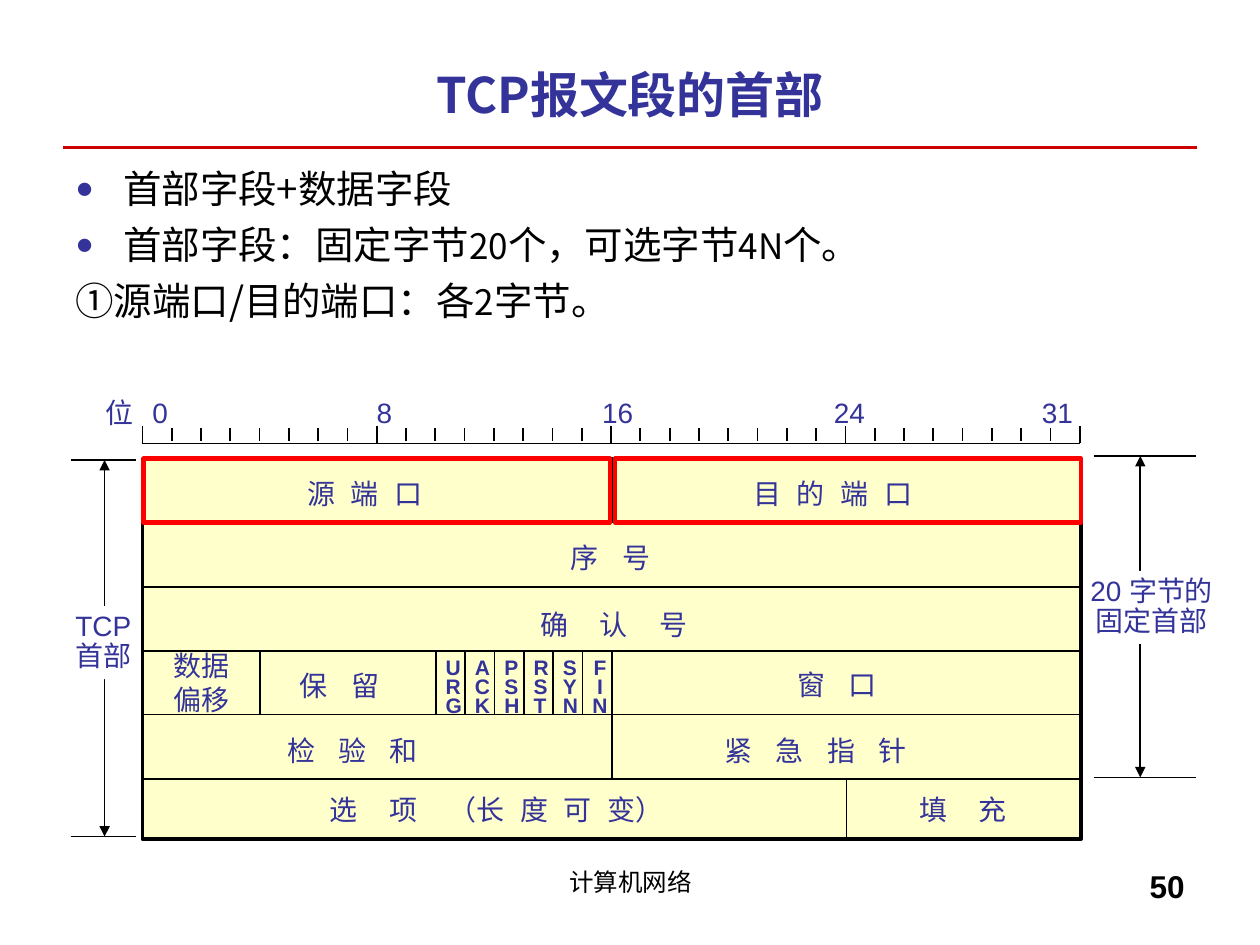
from dataclasses import dataclass

from lxml import etree
from pptx import Presentation
from pptx.dml.color import RGBColor
from pptx.enum import shapes, text
from pptx.oxml import ns
from pptx.util import Inches, Pt


@dataclass(frozen=True)
class Theme:
    ink: str = "000000"
    navy: str = "333399"
    rule: str = "CC0000"
    highlight: str = "FF0000"
    cell: str = "FFFFCC"
    paper: str = "FFFFFF"
    latin: str = "Arial"
    cjk: str = "Noto Sans CJK SC"
    title: int = 28
    body: int = 22
    digits: int = 20
    number: int = 18
    label: int = 16
    footer: int = 14
    flag: int = 12


THEME = Theme()
LEFT, CENTER, RIGHT = text.PP_ALIGN.LEFT, text.PP_ALIGN.CENTER, text.PP_ALIGN.RIGHT

BITS = 32
HEADER_LEFT, HEADER_TOP, HEADER_WIDTH, HEADER_HEIGHT = 1.13, 3.64, 7.45, 3.02
HEADER_RIGHT = HEADER_LEFT + HEADER_WIDTH
HEADER_BOTTOM = HEADER_TOP + HEADER_HEIGHT
FIXED_ROWS, FIXED_BOTTOM = 5, 6.18
ROW_HEIGHT = (FIXED_BOTTOM - HEADER_TOP) / FIXED_ROWS
FLAGS = ("URG", "ACK", "PSH", "RST", "SYN", "FIN")
FIRST_FLAG_BIT = 10

# Gaps between characters, in points
CLOSE, MEDIUM, WIDE = 9, 13.5, 18


def bit_x(bit):
    return HEADER_LEFT + HEADER_WIDTH * bit / BITS


def row_y(row):
    return HEADER_TOP + ROW_HEIGHT * row


def sub(parent, tag, **attributes):
    return etree.SubElement(parent, ns.qn(tag), attributes)


def write(frame, lines, *, size=THEME.label, color=THEME.navy, latin=THEME.latin,
          bold=False, align=LEFT, line_spacing=1.0, space_before=0, gap=0):
    """Each line is a string or a list of runs; a run is a string or (string, size, gap)."""
    for index, line in enumerate(lines):
        paragraph = frame.paragraphs[0] if index == 0 else frame.add_paragraph()
        paragraph.alignment = align
        paragraph.line_spacing = line_spacing
        paragraph.space_before = Pt(space_before if index else 0)
        for part in [line] if isinstance(line, str) else line:
            words, run_size, run_gap = (part, size, gap) if isinstance(part, str) else part
            run = paragraph.add_run()
            run.text = words
            run.font.size = Pt(run_size)
            run.font.bold = bold
            run.font.name = latin
            run.font.color.rgb = RGBColor.from_string(color)
            properties = run.font._element
            sub(properties, "a:ea", typeface=THEME.cjk)
            if run_gap:
                properties.set("spc", str(int(run_gap * 100)))


def set_margins(frame, align):
    side = Inches(0.1)
    frame.word_wrap = True
    frame.margin_left = side if align == LEFT else 0
    frame.margin_right = side if align == RIGHT else 0


def add_label(slide, box, lines, *, align=LEFT, **style):
    frame = slide.shapes.add_textbox(*map(Inches, box)).text_frame
    set_margins(frame, align)
    write(frame, lines, align=align, **style)
    return frame


def add_box(slide, box, *, fill=None, line=None, width=1):
    rect = slide.shapes.add_shape(shapes.MSO_SHAPE.RECTANGLE, *map(Inches, box))
    rect.shadow.inherit = False
    if fill:
        rect.fill.solid()
        rect.fill.fore_color.rgb = RGBColor.from_string(fill)
    else:
        rect.fill.background()
    if line:
        rect.line.color.rgb = RGBColor.from_string(line)
        rect.line.width = Pt(width)
    else:
        rect.line.fill.background()
    return rect


def add_line(slide, x1, y1, x2, y2, *, color=THEME.ink, width=1, arrows=False):
    line = slide.shapes.add_connector(
        shapes.MSO_CONNECTOR.STRAIGHT, *map(Inches, (x1, y1, x2, y2)))
    line.line.color.rgb = RGBColor.from_string(color)
    line.line.width = Pt(width)
    if arrows:
        outline = line.line._get_or_add_ln()
        sub(outline, "a:headEnd", type="triangle")
        sub(outline, "a:tailEnd", type="triangle")
    sub(line._element.spPr, "a:effectLst")


def add_title(slide):
    title = slide.shapes.title
    title.left, title.top, title.width, title.height = map(Inches, (0.5, 0.33, 9, 0.83))
    title.text_frame.vertical_anchor = text.MSO_ANCHOR.MIDDLE
    write(title.text_frame, ["TCP报文段的首部"], size=THEME.title, latin=THEME.cjk,
          bold=True, align=CENTER)
    add_line(slide, 0.5, 1.17, 9.5, 1.17, color=THEME.rule, width=2)


def add_points(slide):
    def digits(words):
        return words, THEME.digits, 0

    frame = add_label(slide, (0.5, 1.26, 9, 1.65), [
        "首部字段+数据字段",
        ["首部字段：固定字节", digits("20"), "个，可选字节", digits("4N"), "个。"],
        ["①源端口/目的端口：各", digits("2"), "字节。"],
    ], size=THEME.body, color=THEME.ink, latin=THEME.cjk, space_before=5.5)
    hanging = Inches(0.38)
    for index, paragraph in enumerate(frame.paragraphs):
        properties = paragraph._p.get_or_add_pPr()
        properties.set("marL", str(hanging))
        properties.set("indent", str(-hanging))
        if index < 2:
            sub(sub(properties, "a:buClr"), "a:srgbClr", val=THEME.navy)
            sub(properties, "a:buSzPct", val="80000")
            sub(properties, "a:buFont", typeface=THEME.latin)
            sub(properties, "a:buChar", char="●")


def add_bit_ruler(slide):
    baseline, ruler_width = 3.52, 7.44
    add_line(slide, HEADER_LEFT, baseline, HEADER_LEFT + ruler_width, baseline)
    for bit in range(BITS + 1):
        x = HEADER_LEFT + ruler_width * bit / BITS
        top, bottom = (3.38, baseline) if bit % 8 == 0 else (3.4, 3.5)
        add_line(slide, x, top, x, bottom)
    frame = add_label(slide, (0.74, 3.09, 8.02, 0.36), ["位\t0\t8\t16\t24\t31"])
    tabs = sub(frame.paragraphs[0]._p.get_or_add_pPr(), "a:tabLst")
    for stop in (0.37, 2.15, 3.94, 5.78, 7.43):
        sub(tabs, "a:tab", pos=str(Inches(stop)), algn="l")


def add_span(slide, x, top, bottom, caps, label_box, lines, align):
    """Double arrow between two cap lines, with a label over its middle."""
    add_line(slide, x, top, x, bottom, arrows=True)
    for y in (top, bottom):
        add_line(slide, caps[0], y, caps[1], y)
    label = add_box(slide, label_box, fill=THEME.paper)
    label.text_frame.vertical_anchor = text.MSO_ANCHOR.TOP
    set_margins(label.text_frame, align)
    write(label.text_frame, lines, align=align, line_spacing=0.9)


def add_header_grid(slide):
    add_box(slide, (HEADER_LEFT, HEADER_TOP, HEADER_WIDTH, HEADER_HEIGHT),
            fill=THEME.cell, line=THEME.ink, width=2)
    for row in range(1, FIXED_ROWS + 1):
        add_line(slide, HEADER_LEFT, row_y(row), HEADER_RIGHT, row_y(row))
    flag_bits = range(FIRST_FLAG_BIT, FIRST_FLAG_BIT + len(FLAGS))
    for bit in (4, *flag_bits):
        add_line(slide, bit_x(bit), row_y(3), bit_x(bit), row_y(4))
    for bit, top, bottom in ((16, row_y(0), row_y(1)), (16, row_y(3), row_y(5)),
                             (24, row_y(5), HEADER_BOTTOM)):
        add_line(slide, bit_x(bit), top, bit_x(bit), bottom)
    for bit, flag in zip(flag_bits, FLAGS):
        add_label(slide, (bit_x(bit) - 0.02, 5.19, 0.32, 0.55), list(flag),
                  size=THEME.flag, bold=True, line_spacing=0.75,
                  align=CENTER if flag == "FIN" else LEFT)


def add_field_names(slide):
    options = [("选项", THEME.label, WIDE), "（", ("长度可", THEME.label, CLOSE), "变）"]
    for left, top, width, lines, gap in (
        (2.34, 3.73, 1.31, ["源端口"], CLOSE),
        (5.88, 3.73, 1.75, ["目的端口"], CLOSE),
        (4.43, 4.24, 1.04, ["序号"], MEDIUM),
        (4.19, 4.77, 1.42, ["确认号"], WIDE),
        (1.28, 5.1, 0.64, ["数据", "偏移"], 0),
        (2.28, 5.26, 0.97, ["保留"], MEDIUM),
        (6.23, 5.25, 0.97, ["窗口"], MEDIUM),
        (2.18, 5.77, 1.53, ["检验和"], MEDIUM),
        (5.65, 5.77, 2.08, ["紧急指针"], MEDIUM),
        (2.52, 6.24, 3.1, [options], 0),
        (7.2, 6.24, 1.1, ["填充"], WIDE),
    ):
        add_label(slide, (left, top, width, 0.36 * len(lines)), lines, gap=gap)


def main():
    deck = Presentation()
    deck.slide_width, deck.slide_height = Inches(10), Inches(7.5)
    slide = deck.slides.add_slide(deck.slide_layouts[5])
    add_title(slide)
    add_points(slide)
    add_span(slide, 0.83, 3.65, 6.64, (0.56, 1.08), (0.5, 4.81, 0.64, 0.58),
             ["TCP", "首部"], LEFT)
    add_span(slide, 9.05, 3.62, 6.17, (8.68, 9.49), (8.53, 4.53, 1.22, 0.58),
             ["20 字节的", "固定首部"], CENTER)
    add_header_grid(slide)
    add_field_names(slide)
    add_bit_ruler(slide)
    for left in (1.14, 4.88):
        add_box(slide, (left, HEADER_TOP, 3.7, ROW_HEIGHT), line=THEME.highlight, width=2.5)
    add_label(slide, (3.42, 6.83, 3.17, 0.52), ["计算机网络"], size=THEME.footer,
              color=THEME.ink, align=CENTER)
    add_label(slide, (7.17, 6.83, 2.33, 0.52), ["50"], size=THEME.number,
              color=THEME.ink, bold=True, align=RIGHT)
    deck.save("out.pptx")


if __name__ == "__main__":
    main()
